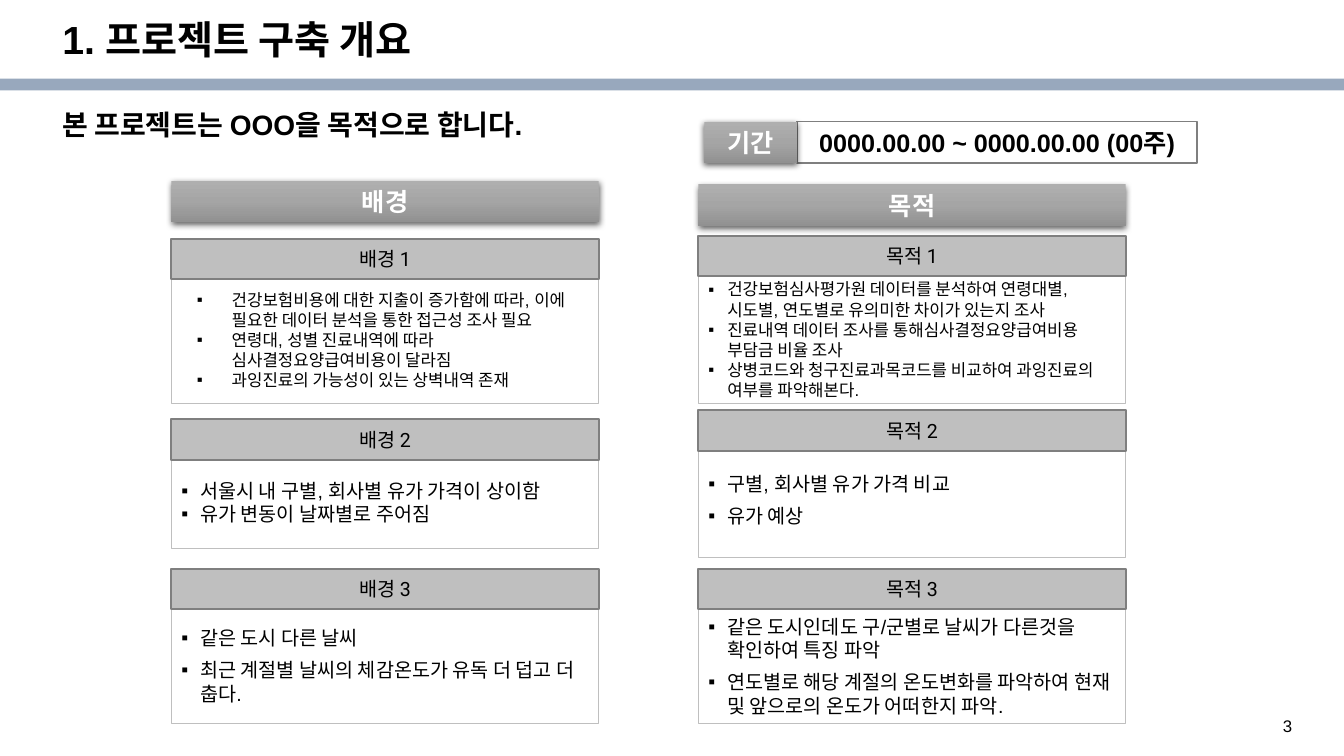
import copy

import pptx
import pptx.dml.color
import pptx.enum.shapes
import pptx.enum.text
import pptx.oxml
import pptx.oxml.ns
import pptx.util

Cm = pptx.util.Cm
Pt = pptx.util.Pt
ALIGN = pptx.enum.text.PP_ALIGN
ANCHOR = pptx.enum.text.MSO_ANCHOR
COLORS = {
    "black": "000000", "white": "FFFFFF", "rule": "98A8BD", "head": "BFBFBF",
    "edge": "7F7F7F", "light": "AFAFAF", "mid": "A5A5A5", "dark": "919191",
}
WIDTH, BAR_H, HEAD_H = 10.77, 1.04, 1.02
BACKGROUND = [
    ("배경 1", 6.02, 6.96, 3.2, 12, 0, 1.27, 0.88, [
        "건강보험비용에 대한 지출이 증가함에 따라, 이에 필요한 데이터 분석을 통한 접근성 조사 필요",
        "연령대, 성별 진료내역에 따라 심사결정요양급여비용이 달라짐",
        "과잉진료의 가능성이 있는 상벽내역 존재"]),
    ("배경 2", 10.57, 11.48, 2.34, 14, 0, 0.48, 0.48, [
        "서울시 내 구별, 회사별 유가 가격이 상이함",
        "유가 변동이 날짜별로 주어짐"]),
    ("배경 3", 14.33, 15.32, 2.92, 14, 6, 0.48, 0.48, [
        "같은 도시 다른 날씨",
        "최근 계절별 날씨의 체감온도가 유독 더 덥고 더 춥다."]),
]
PURPOSE = [
    ("목적 1", 5.94, 6.96, 3.2, 12, 0, 0.48, 0.48, [
        "건강보험심사평가원 데이터를 분석하여 연령대별, 시도별, 연도별로 유의미한 차이가 있는지 조사",
        "진료내역 데이터 조사를 통해심사결정요양급여비용 부담금 비율 조사",
        "상병코드와 청구진료과목코드를 비교하여 과잉진료의 여부를 파악해본다."]),
    ("목적 2", 10.34, 11.13, 2.92, 14, 6, 0.48, 0.48, [
        "구별, 회사별 유가 가격 비교",
        "유가 예상"]),
    ("목적 3", 14.33, 15.32, 2.92, 14, 6, 0.48, 0.48, [
        "같은 도시인데도 구/군별로 날씨가 다른것을 확인하여 특징 파악",
        "연도별로 해당 계절의 온도변화를 파악하여 현재 및 앞으로의 온도가 어떠한지 파악."]),
]


def rgb(name):
    """Return the named colour."""
    return pptx.dml.color.RGBColor.from_string(COLORS[name])


def xml(tag, body="", **attrs):
    """Build one DrawingML element."""
    pairs = " ".join(f'{key}="{value}"' for key, value in attrs.items())
    ns = pptx.oxml.ns.nsdecls("a")
    return pptx.oxml.parse_xml(f"<a:{tag} {ns} {pairs}>{body}</a:{tag}>")


def write(sp, lines, size=14, color="black", bold=False, font="Arial",
          align=ALIGN.LEFT, anchor=ANCHOR.MIDDLE, spacing=None, gap=0, bullet=None):
    """Write the lines as paragraphs of a shape."""
    tf = sp.text_frame
    tf.word_wrap = True
    tf.vertical_anchor = anchor
    for i, line in enumerate(lines):
        p = tf.paragraphs[0] if i == 0 else tf.add_paragraph()
        if bullet:
            left, hang = bullet
            pPr = p._p.get_or_add_pPr()
            pPr.set("marL", str(Cm(left)))
            pPr.set("indent", str(-Cm(hang)))
            pPr.append(xml("buClr", f'<a:srgbClr val="{COLORS["black"]}"/>'))
            pPr.append(xml("buFont", typeface="Arial"))
            pPr.append(xml("buChar", char="▪"))
        p.alignment = align
        if spacing:
            p.line_spacing = spacing
        if i and gap:
            p.space_before = Pt(gap)
        r = p.add_run()
        r.text = line
        r.font.size = Pt(size)
        r.font.bold = bold
        r.font.name = font
        r.font.color.rgb = rgb(color)


def add_text(s, x, y, w, h, text, **fmt):
    """Add a text box with one paragraph."""
    write(s.shapes.add_textbox(Cm(x), Cm(y), Cm(w), Cm(h)), [text], **fmt)


def add_box(s, x, y, w, h, fill, edge=None, weight=0.75):
    """Add a flat rectangle."""
    sp = s.shapes.add_shape(pptx.enum.shapes.MSO_SHAPE.RECTANGLE, Cm(x), Cm(y), Cm(w), Cm(h))
    sp.shadow.inherit = False
    sp.fill.solid()
    sp.fill.fore_color.rgb = rgb(fill)
    if edge:
        sp.line.color.rgb = rgb(edge)
        sp.line.width = Pt(weight)
    else:
        sp.line.fill.background()
    return sp


def add_bar(s, x, y, w, text):
    """Add a shaded, shadowed heading bar."""
    sp = add_box(s, x, y, w, BAR_H, "mid")
    sp.fill.gradient()
    sp.fill.gradient_angle = 270
    spPr = sp._element.spPr
    gs_list = spPr.find(".//" + pptx.oxml.ns.qn("a:gsLst"))
    gs_list.insert(1, copy.deepcopy(gs_list[0]))
    for i, (stop, name) in enumerate(zip(sp.fill.gradient_stops, ("light", "mid", "dark"))):
        stop.color.rgb = rgb(name)
        stop.position = i / 2
    color = f'<a:srgbClr val="{COLORS["black"]}"><a:alpha val="62000"/></a:srgbClr>'
    spPr.find(pptx.oxml.ns.qn("a:effectLst")).append(
        xml("outerShdw", color, blurRad=Pt(4.5), dist=Pt(1.5), dir=5400000,
            algn="ctr", rotWithShape=0))
    write(sp, [text], size=18, color="white", bold=True, align=ALIGN.CENTER)


def add_header(s, w):
    """Place the title, the rule below it and the lead sentence."""
    add_box(s, 0, 1.98, w, 0.3, "rule")
    add_text(s, 1.32, 0.38, 29.21, 1.35, "1. 프로젝트 구축 개요",
             size=28, bold=True, spacing=0.9)
    add_text(s, 1.32, 2.69, 15.5, 1.8, "본 프로젝트는 OOO을 목적으로 합니다.",
             size=20, bold=True, spacing=0.9, anchor=ANCHOR.TOP)


def add_period(s, x, y, label_w, value_w):
    """Place the period label and its dates side by side."""
    sp = add_box(s, x + label_w, y, value_w, BAR_H, "white", "edge", 1)
    write(sp, ["0000.00.00 ~ 0000.00.00 (00주)"], size=18, bold=True, align=ALIGN.CENTER)
    add_bar(s, x, y, label_w, "기간")


def add_column(s, x, y, title, cards):
    """Place a heading bar and the cards under it."""
    add_bar(s, x, y, WIDTH, title)
    for name, head_y, body_y, body_h, size, gap, left, hang, lines in cards:
        sp = add_box(s, x, body_y, WIDTH, body_h, "white", "head")
        write(sp, lines, size=size, gap=gap, bullet=(left, hang))
        sp = add_box(s, x, head_y, WIDTH, HEAD_H, "head", "edge", 1.5)
        write(sp, [name], font="Roboto", align=ALIGN.CENTER)


def main():
    """Build the slide and save it."""
    prs = pptx.Presentation()
    prs.slide_width, prs.slide_height = Cm(33.87), Cm(19.05)
    s = prs.slides.add_slide(prs.slide_layouts[6])
    add_header(s, 33.87)
    add_column(s, 4.32, 4.55, "배경", BACKGROUND)
    add_column(s, 17.6, 4.65, "목적", PURPOSE)
    add_period(s, 17.75, 3.07, 2.34, 10.08)
    add_text(s, 32.08, 17.91, 1.32, 0.69, "3", size=12, anchor=ANCHOR.TOP)
    prs.save("out.pptx")


if __name__ == "__main__":
    main()
